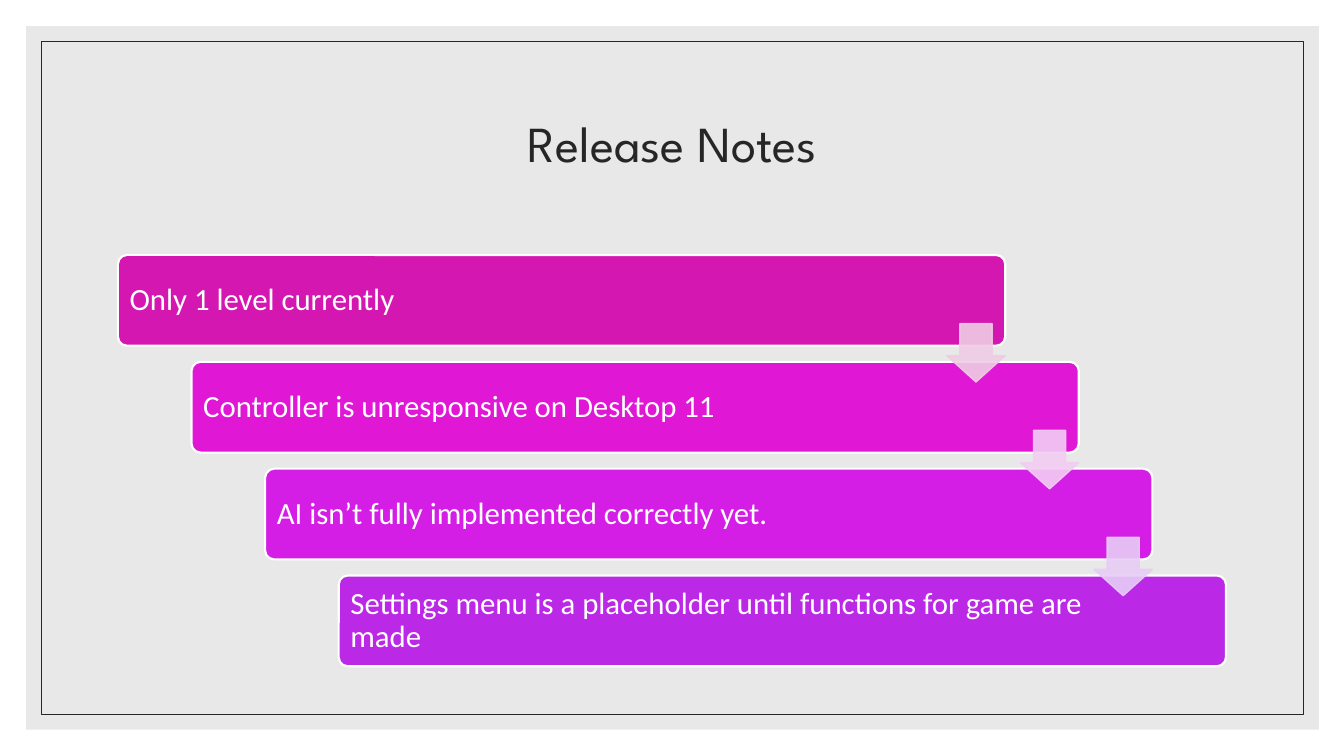
from dataclasses import dataclass

from lxml import etree
from pptx import Presentation
from pptx.dml.color import RGBColor
from pptx.enum.shapes import MSO_SHAPE
from pptx.enum.text import MSO_ANCHOR, PP_ALIGN
from pptx.oxml.ns import qn
from pptx.util import Inches, Pt

RECTANGLE = MSO_SHAPE.RECTANGLE
ROUNDED_RECTANGLE = MSO_SHAPE.ROUNDED_RECTANGLE
DOWN_ARROW = MSO_SHAPE.DOWN_ARROW
MIDDLE = MSO_ANCHOR.MIDDLE
LEFT, CENTER = PP_ALIGN.LEFT, PP_ALIGN.CENTER


@dataclass(frozen=True)
class Theme:
    white: str = "FFFFFF"
    panel: str = "D9D9D9"
    ink: str = "262626"
    steps: tuple = ("D517B1", "E018D6", "D41EE6", "BB29E7")
    arrows: tuple = ("EFCCE4", "F2CDF3", "E7CDF6")
    title_font: str = "League Spartan"
    body_font: str = "Calibri"
    title_size: int = 36
    body_size: int = 22


theme = Theme()


def add_box(kind, left, top, width, height, fill=None, line=None, line_width=1, opacity=100):
    """Add a preset shape without shadow; opacity is a percentage for fill and line."""
    shape = slide.shapes.add_shape(kind, Inches(left), Inches(top), Inches(width), Inches(height))
    shape.shadow.inherit = False
    if fill:
        shape.fill.solid()
        shape.fill.fore_color.rgb = RGBColor.from_string(fill)
    else:
        shape.fill.background()
    if line:
        shape.line.color.rgb = RGBColor.from_string(line)
        shape.line.width = Pt(line_width)
    else:
        shape.line.fill.background()
    if opacity < 100:
        for color in shape.element.spPr.iter(qn("a:srgbClr")):
            etree.SubElement(color, qn("a:alpha"), val=str(opacity * 1000))
    return shape


def write_text(shape, text, font_name, size, color, alignment):
    frame = shape.text_frame
    frame.text = text
    frame.word_wrap = True
    frame.vertical_anchor = MIDDLE
    paragraph = frame.paragraphs[0]
    paragraph.alignment = alignment
    paragraph.line_spacing = 0.9
    font = paragraph.runs[0].font
    font.name = font_name
    font.size = Pt(size)
    font.color.rgb = RGBColor.from_string(color)


presentation = Presentation()
presentation.slide_width = Inches(13.33)
presentation.slide_height = Inches(7.5)
slide = presentation.slides.add_slide(presentation.slide_layouts[5])
slide.background.fill.solid()
slide.background.fill.fore_color.rgb = RGBColor.from_string(theme.white)

# Title
title = slide.shapes.title
title.left, title.top = Inches(1.17), Inches(0.7)
title.width, title.height = Inches(11), Inches(1.5)
write_text(title, "Release Notes", theme.title_font, theme.title_size, theme.ink, CENTER)

# Panel and frame, behind the title
panel = add_box(RECTANGLE, 0.26, 0.26, 12.82, 6.98, fill=theme.panel, opacity=60)
frame_line = add_box(RECTANGLE, 0.41, 0.41, 12.52, 6.68, line=theme.ink, line_width=0.5)
for backdrop in (panel, frame_line):
    title.element.addprevious(backdrop.element)

# Staircase of notes
notes = (
    "Only 1 level currently",
    "Controller is unresponsive on Desktop 11",
    "AI isn’t fully implemented correctly yet.",
    "Settings menu is a placeholder until functions for game are made",
)
first_left, first_top = 1.17, 2.53
step_right, step_down = 0.73, 1.06
note_width, note_height = 8.8, 0.9
arrow_size = 0.58

for index, (note, color) in enumerate(zip(notes, theme.steps)):
    box = add_box(ROUNDED_RECTANGLE, first_left + index * step_right, first_top + index * step_down,
                  note_width, note_height, fill=color, line=theme.white, line_width=1.5)
    box.adjustments[0] = 0.1
    write_text(box, note, theme.body_font, theme.body_size, theme.white, LEFT)
    box.text_frame.margin_left = Inches(0.09)
    box.text_frame.margin_right = Inches(1.4)

# Arrows end flush with the right side of the note they leave
for index, color in enumerate(theme.arrows):
    arrow = add_box(DOWN_ARROW, first_left + note_width - arrow_size + index * step_right,
                    first_top + 0.68 + index * step_down, arrow_size, arrow_size,
                    fill=color, line=color, opacity=90)
    arrow.adjustments[0] = 0.55
    arrow.adjustments[1] = 0.45

presentation.save("out.pptx")
